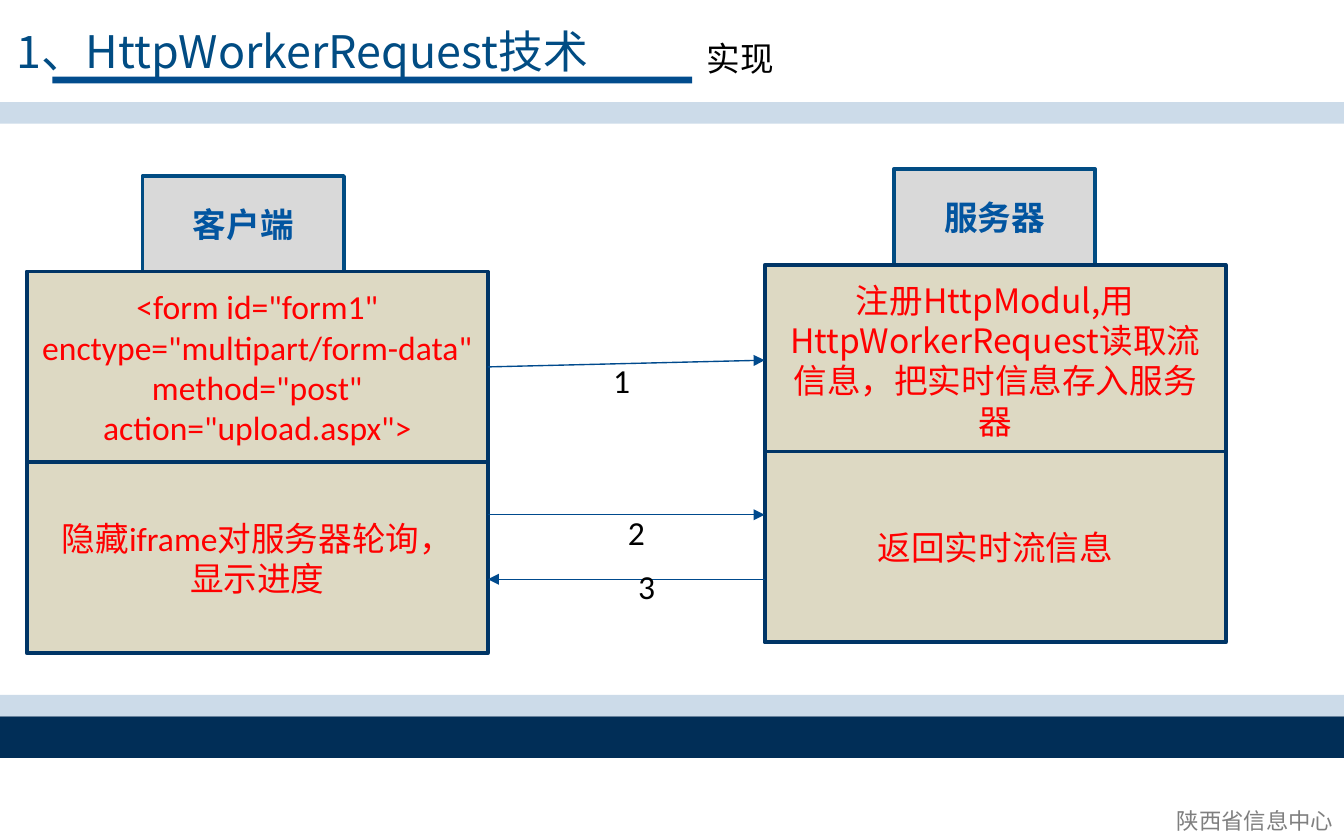
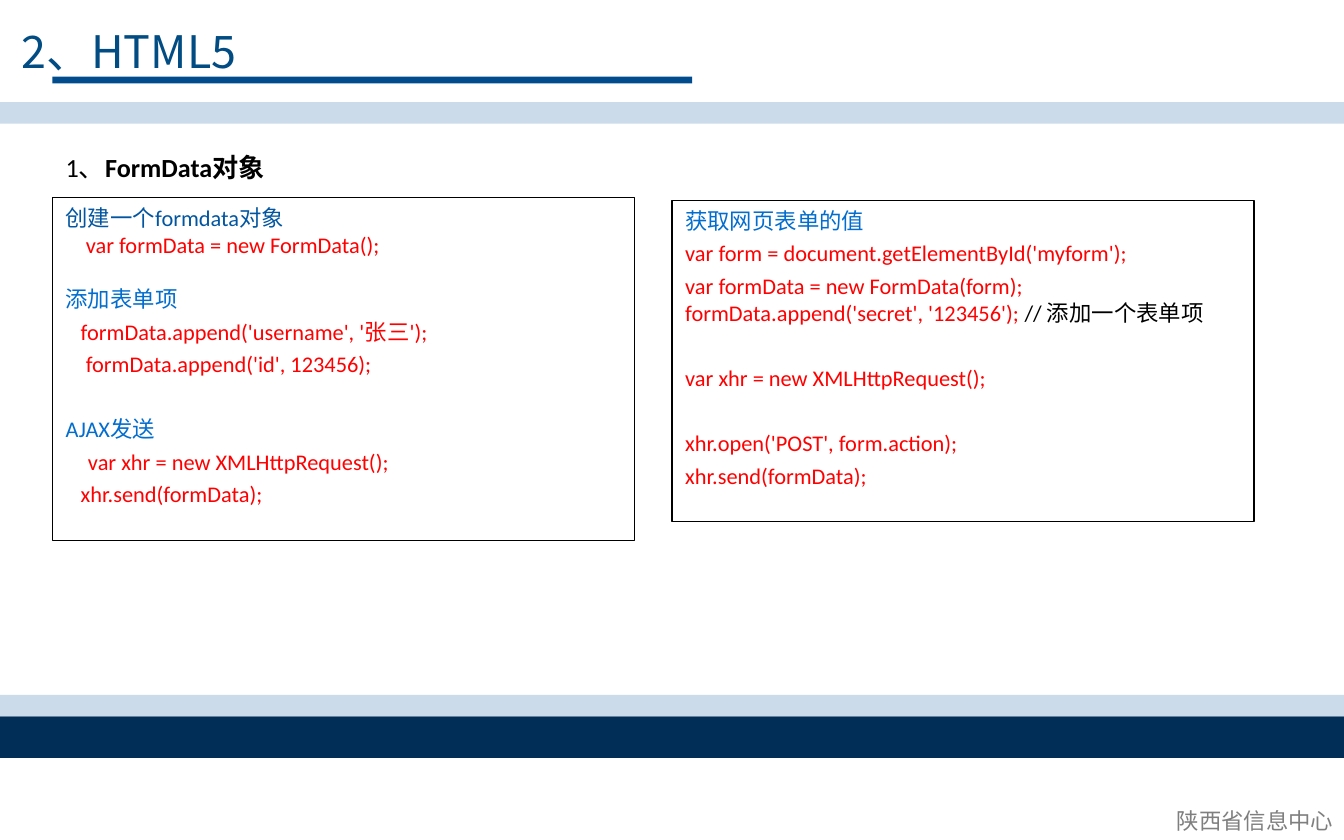
from dataclasses import dataclass
from typing import Optional

import pptx
import pptx.dml.color
import pptx.enum.shapes
import pptx.enum.text
import pptx.oxml.ns
import pptx.util
from lxml import etree

Inches = pptx.util.Inches
Pt = pptx.util.Pt
qn = pptx.oxml.ns.qn
Align = pptx.enum.text.PP_ALIGN
Anchor = pptx.enum.text.MSO_ANCHOR
AutoSize = pptx.enum.text.MSO_AUTO_SIZE
RECT = pptx.enum.shapes.MSO_SHAPE.RECTANGLE

LATIN, CJK = "Calibri", "Noto Sans CJK SC"
NAVY, BAR, PALE = "012E57", "014C8D", "CCDBE9"
TITLE, HEADING, TOPIC = "014C83", "0255A0", "026DCE"
RED, BLACK, GREY = "FF0000", "000000", "7F7F7F"
HEAD_FILL, BODY_FILL, BODY_LINE, ARROW = "D9D9D9", "DDD9C3", "003566", "004A8D"
SLIDE_W, HEAD_H, BODY_H, PANEL_W = 10, 0.71, 1.42, 3.43
GAP, NEW_BLOCK = 3, 20.6


@dataclass
class Run:
    text: str
    color: str = BLACK
    size: float = 18
    bold: bool = False
    font: str = LATIN


@dataclass
class Para:
    runs: list[Run]
    before: float = 0


@dataclass
class Box:
    left: float
    top: float
    width: float
    height: float

    def lengths(self) -> list[int]:
        return [Inches(v) for v in (self.left, self.top, self.width, self.height)]


@dataclass
class Panel:
    """A machine: a heading tab above two stacked steps."""
    left: float
    top: float
    tab_left: float
    name: str
    steps: list[list[Para]]
    pitch: float = BODY_H


@dataclass
class Arrow:
    start: tuple[float, float]
    end: tuple[float, float]


@dataclass
class Label:
    text: str
    box: Box


def rgb(color: str) -> pptx.dml.color.RGBColor:
    return pptx.dml.color.RGBColor.from_string(color)


def write(tf, paras: list[Para], align=Align.LEFT) -> None:
    for i, para in enumerate(paras):
        p = tf.paragraphs[0] if i == 0 else tf.add_paragraph()
        p.alignment = align
        p.space_before = Pt(para.before)
        for run in para.runs:
            for j, line in enumerate(run.text.split("\n")):
                if j:
                    p.add_line_break()
                r = p.add_run()
                r.text = line
                r.font.name, r.font.size, r.font.bold = run.font, Pt(run.size), run.bold
                r.font.color.rgb = rgb(run.color)
                etree.SubElement(r.font._element, qn("a:ea"), typeface=CJK)


def add_rect(s, box: Box, fill: Optional[str] = None, line: Optional[str] = None, weight: float = 2):
    sp = s.shapes.add_shape(RECT, *box.lengths())
    sp.shadow.inherit = False
    if fill:
        sp.fill.solid()
        sp.fill.fore_color.rgb = rgb(fill)
    else:
        sp.fill.background()
    if line:
        sp.line.color.rgb = rgb(line)
        sp.line.width = Pt(weight)
    else:
        sp.line.fill.background()
    return sp


def add_text(s, box: Box, runs: list[Run], align=Align.LEFT) -> None:
    tf = s.shapes.add_textbox(*box.lengths()).text_frame
    tf.word_wrap = True
    tf.auto_size = AutoSize.SHAPE_TO_FIT_TEXT
    write(tf, [Para(runs)], align)


def add_filled_text(s, box: Box, fill: str, line: str, paras: list[Para]):
    sp = add_rect(s, box, fill, line)
    sp.text_frame.word_wrap = True
    sp.text_frame.vertical_anchor = Anchor.MIDDLE
    write(sp.text_frame, paras, Align.CENTER)
    return sp


def add_code(s, box: Box, paras: list[Para]) -> None:
    tf = add_rect(s, box, line=BLACK, weight=0.75).text_frame
    tf.word_wrap = True
    tf.vertical_anchor = Anchor.TOP
    write(tf, paras)


def add_panel(s, panel: Panel) -> list:
    """Draw the panel and return its step boxes."""
    add_filled_text(s, Box(panel.tab_left, panel.top, 1.5, HEAD_H), HEAD_FILL, TITLE,
                    [Para([Run(panel.name, HEADING, bold=True)])])
    first = panel.top + HEAD_H
    return [add_filled_text(s, Box(panel.left, first + i * panel.pitch, PANEL_W, BODY_H),
                            BODY_FILL, BODY_LINE, step)
            for i, step in enumerate(panel.steps)]


def add_arrow(s, arrow: Arrow):
    c = s.shapes.add_connector(pptx.enum.shapes.MSO_CONNECTOR.STRAIGHT,
                               *[Inches(v) for v in arrow.start + arrow.end])
    c.line.color.rgb = rgb(ARROW)
    c.line.width = Pt(0.75)
    spPr = c._element.spPr
    etree.SubElement(spPr.find(qn("a:ln")), qn("a:tailEnd"), type="triangle")
    etree.SubElement(spPr, qn("a:effectLst"))
    return c


def new_slide(prs, title: str, title_box: Box):
    """Add a slide with its title, bands and footer."""
    s = prs.slides.add_slide(prs.slide_layouts[5])
    add_rect(s, Box(0, 5.33, SLIDE_W, 0.31), NAVY)
    add_rect(s, Box(0.39, 0.57, 4.76, 0.05), BAR)
    for top in (5.17, 0.76):
        add_rect(s, Box(0, top, SLIDE_W, 0.16), PALE)
    sp = s.shapes.title
    sp.left, sp.top, sp.width, sp.height = title_box.lengths()
    tf = sp.text_frame
    tf.word_wrap = False
    tf.auto_size = AutoSize.SHAPE_TO_FIT_TEXT
    tf.vertical_anchor = Anchor.TOP
    write(tf, [Para([Run(title, TITLE, 24, font=CJK)])])
    add_text(s, Box(8.42, 5.96, 1.6, 0.3), [Run("陕西省信息中心", GREY, 12, font=CJK)],
             Align.RIGHT)
    return s


def code(text: str, before: float = GAP, color: str = RED) -> Para:
    return Para([Run(text, color, 12)], before)


CLIENT = Panel(0.2, 1.31, 1.06, "客户端", [
    [Para([Run('<form id="form1" enctype="multipart/form-data" method="post" action="upload.aspx">', RED)])],
    [Para([Run("隐藏iframe对服务器轮询，", RED)]), Para([Run("显示进度", RED)])],
])
SERVER = Panel(5.69, 1.26, 6.65, "服务器", [
    [Para([Run("注册HttpModul,用HttpWorkerRequest读取流信息，把实时信息存入服务器", RED, font=CJK)])],
    [Para([Run("返回实时流信息", RED)])],
], pitch=1.39)
CLIENT_EDGE, SERVER_EDGE = CLIENT.left + PANEL_W, SERVER.left
POLLING = [
    Arrow((CLIENT_EDGE, 3.83), (SERVER_EDGE, 3.83)),
    Arrow((SERVER_EDGE, 4.31), (CLIENT_EDGE, 4.31)),
]
STEP_LABELS = [
    Label("1", Box(4.52, 2.63, 0.14, 0.4)),
    Label("2", Box(4.59, 3.76, 0.18, 0.4)),
    Label("3", Box(4.65, 4.16, 0.35, 0.4)),
]
BUILD_FORM = [
    code("创建一个formdata对象", 0, HEADING),
    code("    var formData = new FormData();", 0),
    code("添加表单项", 14.6, TOPIC),
    code("   formData.append('username', '张三');"),
    code("    formData.append('id', 123456);"),
    code("AJAX发送", NEW_BLOCK, TOPIC),
    code("　var xhr = new XMLHttpRequest();"),
    code("   xhr.send(formData);"),
]
READ_FORM = [
    code("获取网页表单的值", 0, TOPIC),
    code("var form = document.getElementById('myform');"),
    Para([Run("var formData = new FormData(form);\nformData.append('secret', '123456'); ", RED, 12),
          Run("// 添加一个表单项", BLACK, 12)], GAP),
    code("var xhr = new XMLHttpRequest();", NEW_BLOCK),
    code("xhr.open('POST', form.action);", NEW_BLOCK),
    code("xhr.send(formData);"),
]


def worker_request_slide(prs) -> None:
    s = new_slide(prs, "1、HttpWorkerRequest技术", Box(0.02, 0.13, 4.75, 0.5))
    add_text(s, Box(5.16, 0.23, 0.72, 0.4), [Run("实现")])
    form, _ = add_panel(s, CLIENT)
    module, _ = add_panel(s, SERVER)
    upload = add_arrow(s, Arrow((CLIENT_EDGE, 2.73), (SERVER_EDGE, 2.68)))
    upload.begin_connect(form, 3)
    upload.end_connect(module, 1)
    for arrow in POLLING:
        add_arrow(s, arrow)
    for label in STEP_LABELS:
        add_text(s, label.box, [Run(label.text)])


def html5_slide(prs) -> None:
    s = new_slide(prs, "2、HTML5", Box(0.06, 0.13, 1.98, 0.5))
    add_text(s, Box(0.39, 1.08, 3.82, 0.34),
             [Run("1、", size=14), Run("FormData对象", size=14, bold=True)])
    add_code(s, Box(0.39, 1.47, 4.33, 2.55), BUILD_FORM)
    add_code(s, Box(5, 1.49, 4.33, 2.39), READ_FORM)


def main() -> None:
    prs = pptx.Presentation()
    prs.slide_width, prs.slide_height = Inches(SLIDE_W), Inches(6.25)
    worker_request_slide(prs)
    html5_slide(prs)
    prs.save("out.pptx")


if __name__ == "__main__":
    main()
